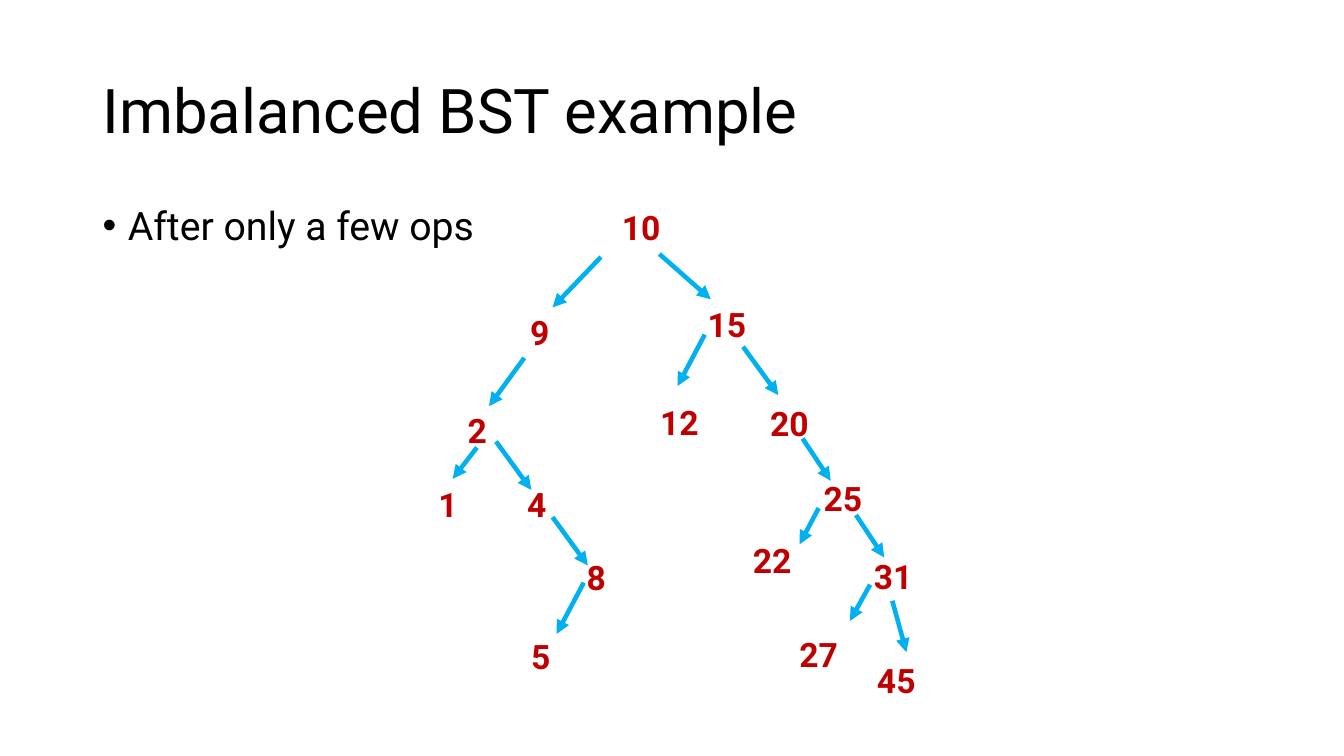
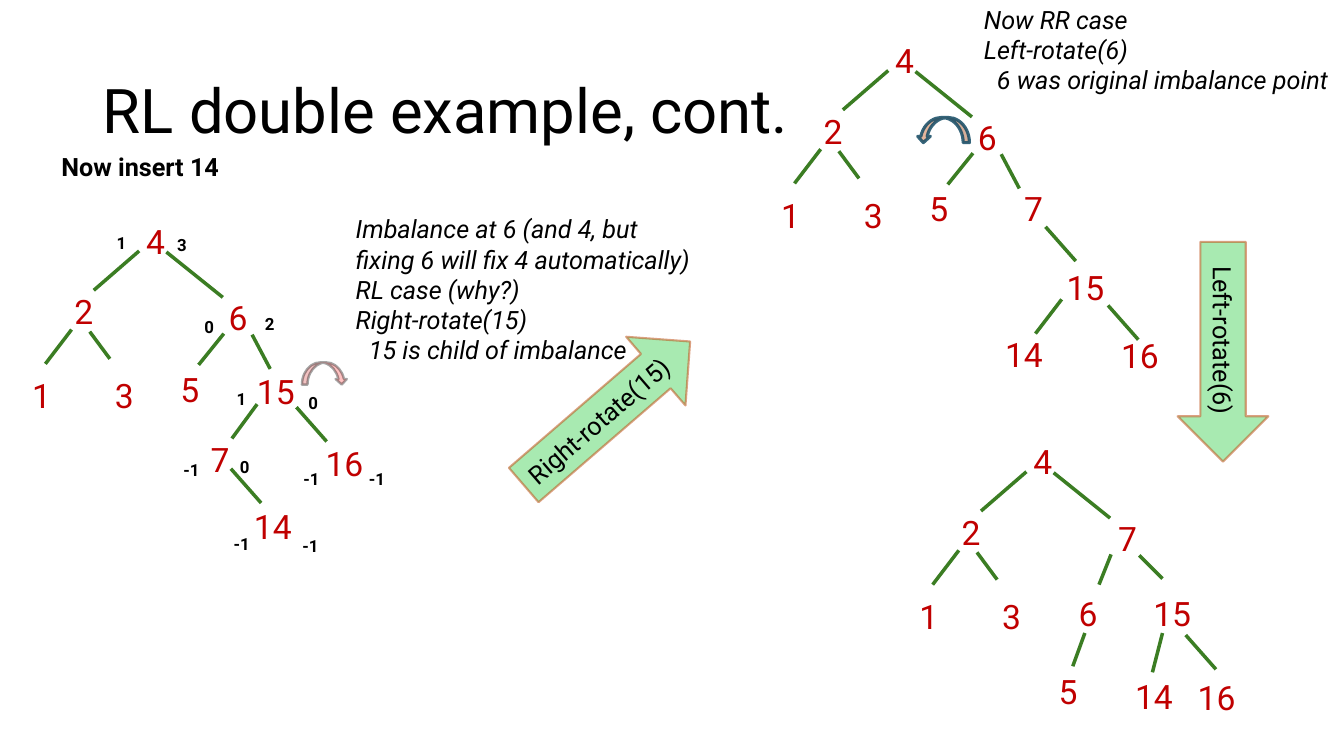
from dataclasses import dataclass
from lxml.etree import SubElement as Sub
from pptx import Presentation
from pptx.dml.color import RGBColor as RGB
from pptx.enum.shapes import MSO_CONNECTOR as Conn, MSO_SHAPE as Geo
from pptx.enum.text import MSO_ANCHOR as Anchor, PP_ALIGN as Align
from pptx.oxml.ns import qn
from pptx.util import Pt

PX = 9144


@dataclass(frozen=True)
class Look:
    """Style of one kind of tree."""
    edge: str
    width: float
    bold: bool
    head: bool
    one: tuple
    two: tuple


@dataclass(frozen=True)
class Theme:
    """Colours and type sizes of the deck."""
    font: str = "Roboto"
    ink: str = "000000"
    key: str = "C00000"
    leaf: str = "47D45A"
    rust: str = "C04F15"
    red: str = "FF0000"
    navy: str = "104862"
    title: int = 44
    body: int = 28
    node: int = 24
    note: int = 18
    tag: int = 12
    bst: Look = Look("00B0F0", 3.25, True, True, (48, 52), (70, 52))
    avl: Look = Look("3B7D23", 2.5, False, False, (31, 46), (65, 50))


class Deck:
    """Draws elements on the current slide in one style."""

    def __init__(self, theme):
        """Start an empty wide deck."""
        self.theme = theme
        self.prs = Presentation()
        self.prs.slide_width = 1333 * PX
        self.prs.slide_height = 750 * PX
        self.pen = None

    def page(self, title):
        """Add a slide with its title."""
        self.pen = self.prs.slides.add_slide(self.prs.slide_layouts[6]).shapes
        frame = self.text((92, 40, 1150, 145), [title], self.theme.title, tight=True)
        frame.vertical_anchor = Anchor.MIDDLE

    def font(self, para, size, ink=None, bold=False, slant=False):
        """Set the font of a paragraph."""
        font = para.font
        font.name, font.size = self.theme.font, Pt(size)
        font.bold, font.italic = bold, slant
        font.color.rgb = RGB.from_string(ink or self.theme.ink)

    def text(self, box, lines, size, tight=False, dot=False, last=0, **font):
        """Add a text box, with its last line indented on request."""
        frame = self.pen.add_textbox(*(n * PX for n in box)).text_frame
        frame.word_wrap = True
        for i, line in enumerate(lines):
            para = frame.paragraphs[0] if i == 0 else frame.add_paragraph()
            para.text = line
            if tight:
                para.line_spacing = 0.9
            prop = para._p.get_or_add_pPr()
            if dot:
                prop.set("marL", str(25 * PX))
                prop.set("indent", str(-25 * PX))
                Sub(prop, qn("a:buFont")).set("typeface", "Arial")
                Sub(prop, qn("a:buChar")).set("char", "•")
            if last and i == len(lines) - 1:
                prop.set("marL", str(last * PX))
            self.font(para, size, **font)
        return frame

    def edge(self, ends, look):
        """Add a straight tree edge."""
        line = self.pen.add_connector(Conn.STRAIGHT, *(n * PX for n in ends))
        line.line.color.rgb = RGB.from_string(look.edge)
        line.line.width = Pt(look.width)
        prop = line._element.spPr
        if look.head:
            Sub(prop.find(qn("a:ln")), qn("a:tailEnd")).set("type", "triangle")
        Sub(prop, qn("a:effectLst"))

    def tree(self, nodes, edges, look, dx=0, dy=0):
        """Add a grouped tree, moved by dx and dy."""
        home = self.pen
        self.pen = home.add_group_shape().shapes
        for x1, y1, x2, y2 in edges:
            self.edge((x1 + dx, y1 + dy, x2 + dx, y2 + dy), look)
        for key, x, y in nodes:
            size = look.one if key < 10 else look.two
            self.text((x + dx, y + dy, *size), [str(key)], self.theme.node,
                      ink=self.theme.key, bold=look.bold)
        self.pen = home

    def arrow(self, geo, box, turn, fill, line, width, label=""):
        """Add a turned arrow; fill and line are (colour, opacity) pairs."""
        shape = self.pen.add_shape(geo, *(n * PX for n in box))
        shape.shadow.inherit = False
        shape.rotation = turn
        shape.fill.solid()
        shape.fill.fore_color.rgb = RGB.from_string(fill[0])
        shape.line.color.rgb = RGB.from_string(line[0])
        shape.line.width = Pt(width)
        tints = shape._element.spPr.iter(qn("a:srgbClr"))
        for tint, part in zip(list(tints), (fill, line)):
            Sub(tint, qn("a:alpha")).set("val", str(part[1] * 1000))
        if label:
            frame = shape.text_frame
            frame.vertical_anchor = Anchor.MIDDLE
            para = frame.paragraphs[0]
            para.text, para.alignment = label, Align.CENTER
            self.font(para, self.theme.note)


BST = [
    (10, 607, 200), (9, 516, 304), (15, 692, 297), (2, 454, 402),
    (12, 645, 394), (20, 754, 395), (1, 425, 475), (4, 513, 475),
    (25, 807, 469), (8, 572, 548), (22, 737, 531), (31, 857, 547),
    (5, 517, 626), (27, 783, 624), (45, 860, 650),
]
BST_EDGES = [
    (654, 252, 705, 297), (596, 255, 548, 305), (699, 332, 672, 383),
    (520, 355, 485, 403), (737, 344, 772, 392), (796, 435, 824, 477),
    (849, 511, 877, 553), (473, 444, 449, 475), (863, 580, 843, 616),
    (885, 596, 899, 647), (812, 504, 793, 540), (492, 438, 527, 486),
    (548, 513, 583, 561), (579, 578, 552, 629),
]
CROWN = [(4, 135, 214), (2, 64, 284), (1, 22, 367), (3, 104, 367)]
CROWN_EDGES = [
    (138, 249, 93, 288), (221, 295, 165, 250),
    (71, 327, 45, 361), (89, 329, 109, 356),
]
LIMB = CROWN + [(6, 217, 290), (5, 169, 361)]
LIMB_EDGES = CROWN_EDGES + [(222, 331, 197, 362), (250, 332, 268, 366)]
TAGS = [
    ("1", 106, 226), ("3", 166, 228), ("0", 193, 309), ("2", 253, 306),
    ("1", 225, 381), ("0", 296, 385), ("-1", 172, 451), ("0", 228, 448),
    ("-1", 291, 460), ("-1", 356, 460), ("-1", 222, 525), ("-1", 290, 527),
]


def first(deck):
    """Draw the imbalanced tree."""
    deck.page("Imbalanced BST example")
    deck.text((92, 200, 1150, 476), ["After only a few ops"], deck.theme.body,
              tight=True, dot=True)
    deck.tree(BST, BST_EDGES, deck.theme.bst)


def second(deck):
    """Draw the three steps of the double rotation."""
    look = deck.theme
    deck.page("RL double example, cont.")
    deck.text((51, 145, 327, 40), ["Now insert 14"], look.note, bold=True)
    for tag, x, y in TAGS:
        deck.text((x, y, 46, 30), [tag], look.tag, bold=True)
    deck.tree(
        LIMB + [(15, 245, 363), (16, 313, 434), (7, 199, 431), (14, 242, 497)],
        LIMB_EDGES + [(255, 401, 230, 435), (294, 404, 324, 438),
                      (229, 465, 259, 499)],
        look.avl)
    deck.tree(
        LIMB + [(7, 263, 361), (15, 305, 439), (14, 244, 505), (16, 359, 506)],
        LIMB_EDGES + [(294, 404, 324, 438), (310, 476, 284, 510),
                      (356, 482, 386, 516)],
        look.avl, 743, -179)
    deck.tree(
        CROWN + [(7, 219, 290), (6, 180, 364), (15, 254, 364),
                 (5, 160, 442), (14, 236, 447), (16, 298, 448)],
        CROWN_EDGES + [(250, 332, 273, 355), (222, 331, 210, 361),
                       (196, 409, 184, 442), (273, 409, 263, 448),
                       (296, 411, 326, 445)],
        look.avl, 880, 219)
    deck.text((343, 207, 354, 192),
              ["Imbalance at 6 (and 4, but fixing 6 will fix 4 automatically)",
               "RL case (why?)", "Right-rotate(15)", "15 is child of imbalance"],
              look.note, last=13, slant=True)
    deck.text((966, -1, 369, 101),
              ["Now RR case", "Left-rotate(6)", "6 was original imbalance point"],
              look.note, last=13, slant=True)
    for x, y, turn, label in ((493, 365, 319.2, "Right-rotate(15)"),
                              (1104, 304, 90, "Left-rotate(6)")):
        deck.arrow(Geo.RIGHT_ARROW, (x, y, 218, 90), turn,
                   (look.leaf, 47), (look.rust, 53), 1.5, label)
    deck.arrow(Geo.CURVED_LEFT_ARROW, (311, 348, 22, 45), 270,
               (look.red, 24), (look.ink, 35), 1.75)
    deck.arrow(Geo.CURVED_RIGHT_ARROW, (923, 103, 25, 52), 90,
               (look.rust, 42), (look.navy, 84), 2.25)


def main():
    """Build and save the deck."""
    deck = Deck(Theme())
    first(deck)
    second(deck)
    deck.prs.save("out.pptx")


if __name__ == "__main__":
    main()
